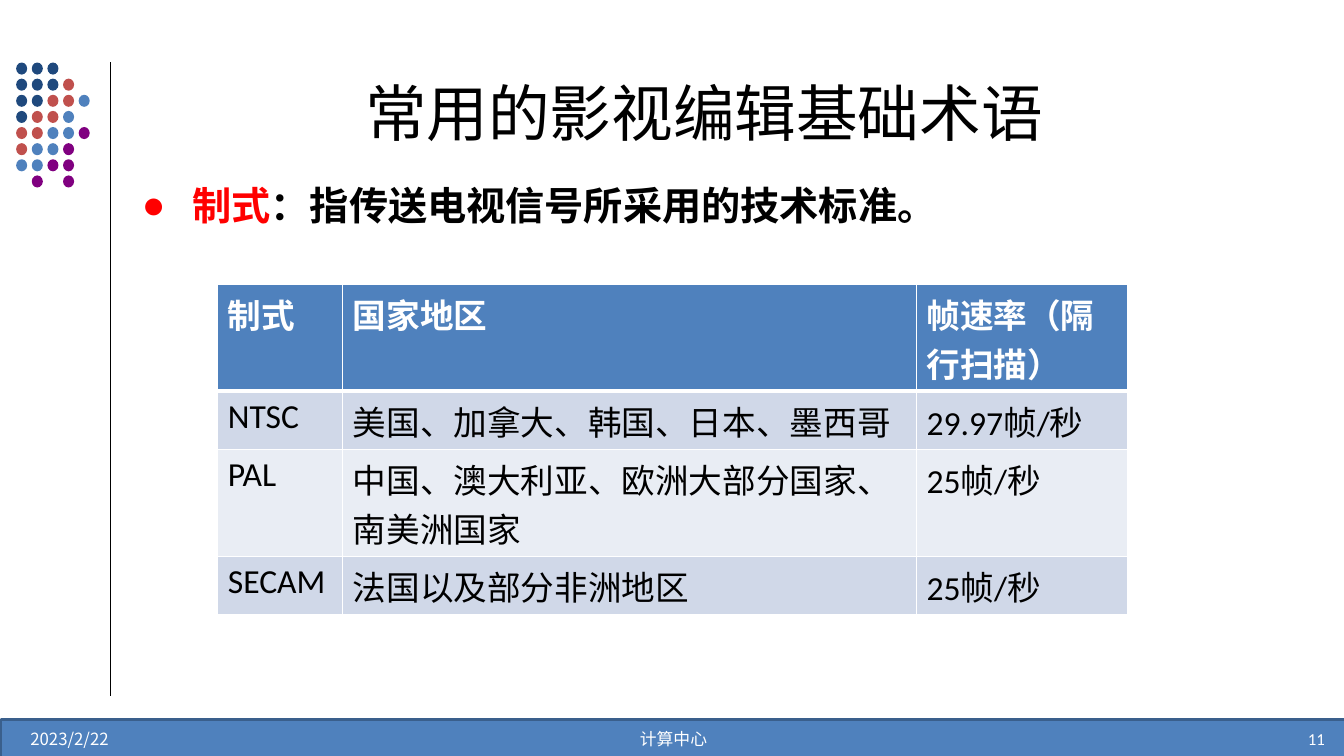
from pptx import Presentation
from pptx.util import Inches, Pt
from pptx.dml.color import RGBColor
from pptx.enum.shapes import MSO_SHAPE as Shape, MSO_CONNECTOR as Link
from pptx.enum.text import PP_ALIGN as Align, MSO_ANCHOR as Anchor
from pptx.oxml.ns import qn
from lxml.etree import SubElement as Sub

HUES = {"navy": "1F497D", "brick": "C0504D", "blue": "4F81BD",
        "plum": "800080", "edge": "3A5F8C", "red": "FF0000",
        "black": "000000", "white": "FFFFFF", "dark": "D0D8E8",
        "pale": "E9EDF4"}
SANS = "Noto Sans CJK SC"
TITLE = "常用的影视编辑基础术语"
TERM = [("制式", "red"), ("：指传送电视信号所采用的技术标准。", "black")]
FOOT = [("2023/2/22", 0, 1.38, Align.CENTER, SANS),
        ("计算中心", 4.57, 4.22, Align.CENTER, SANS),
        ("11", 10.13, 3.11, Align.RIGHT, "Calibri")]
ROWS = [("制式", "国家地区", "帧速率（隔行扫描）"),
        ("NTSC", "美国、加拿大、韩国、日本、墨西哥", "29.97帧/秒"),
        ("PAL", "中国、澳大利亚、欧洲大部分国家、南美洲国家", "25帧/秒"),
        ("SECAM", "法国以及部分非洲地区", "25帧/秒")]
WIDE = [1.24, 5.69, 2.09]
TALL = [1.06, 0.58, 1.06, 0.58]
DOTS = ["nnn", "nnnr", "nnrrb", "nrrb", "rrbbp", "rbbp", "bbpp", " p p"]
KEYS = {"n": "navy", "r": "brick", "b": "blue", "p": "plum"}


def rgb(hue):
    return RGBColor.from_string(HUES[hue])


def style(par, size, face, hue=None, bold=False):
    font = par.font
    font.size, font.name, font.bold = Pt(size), face, bold
    if hue:
        font.color.rgb = rgb(hue)
    Sub(font._element, qn("a:ea"), typeface=SANS)


def solid(kind, x, y, w, h, hue):
    item = slide.shapes.add_shape(kind, *map(Inches, (x, y, w, h)))
    item.shadow.inherit = False
    item.fill.solid()
    item.fill.fore_color.rgb = rgb(hue)
    item.line.fill.background()
    return item


def label(x, y, w, h, anchor=Anchor.MIDDLE):
    frame = slide.shapes.add_textbox(*map(Inches, (x, y, w, h))).text_frame
    frame.word_wrap = True
    frame.vertical_anchor = anchor
    return frame.paragraphs[0]


def border(cell, side, width):
    line = Sub(cell._tc.get_or_add_tcPr(), qn("a:" + side), w=str(Pt(width)))
    Sub(Sub(line, qn("a:solidFill")), qn("a:srgbClr"), val=HUES["white"])


deck = Presentation()
deck.slide_width, deck.slide_height = Inches(13.33), Inches(7.5)
slide = deck.slides.add_slide(deck.slide_layouts[6])

bar = solid(Shape.RECTANGLE, 0.01, 7.14, 13.33, 0.38, "blue")
bar.line.color.rgb = rgb("edge")
bar.line.width = Pt(2)

for r, row in enumerate(DOTS):
    for c, key in enumerate(row):
        if key in KEYS:
            solid(Shape.OVAL, 0.16 + c * 0.155, 0.62 + r * 0.16,
                  0.11, 0.12, KEYS[key])

rule = slide.shapes.add_connector(
    Link.STRAIGHT, *map(Inches, (1.1, 0.62, 1.1, 6.9)))
rule.line.color.rgb = rgb("black")
rule.line.width = Pt(0.75)
Sub(rule._element.spPr, qn("a:effectLst"))

head = label(1.31, 0.68, 11.35, 0.87)
head.text, head.alignment = TITLE, Align.CENTER
style(head, 44, SANS, "black")

body = label(1.31, 1.75, 11.35, 4.95, Anchor.TOP)
body.alignment = Align.JUSTIFY
body.space_before = Pt(5.6)
for text, hue in TERM:
    run = body.add_run()
    run.text = text
    run.font.color.rgb = rgb(hue)
props = body._p.get_or_add_pPr()
props.set("marL", str(Inches(0.5)))
props.set("indent", str(-Inches(0.5)))
Sub(Sub(props, qn("a:buClr")), qn("a:srgbClr"), val=HUES["red"])
Sub(props, qn("a:buFont"), typeface="Times New Roman")
Sub(props, qn("a:buChar"), char="●")
style(body, 28, "Times New Roman", bold=True)

for text, x, w, align, face in FOOT:
    foot = label(x, 7.13, w, 0.4)
    foot.text, foot.alignment = text, align
    style(foot, 12, face, "white")

grid = slide.shapes.add_table(
    len(ROWS), len(WIDE),
    *map(Inches, (2.16, 2.82, sum(WIDE), sum(TALL)))).table
for col, w in zip(grid.columns, WIDE):
    col.width = Inches(w)
for r, (row, h) in enumerate(zip(ROWS, TALL)):
    grid.rows[r].height = Inches(h)
    top = r == 0
    for c, text in enumerate(row):
        cell = grid.cell(r, c)
        for side in ("lnL", "lnR", "lnT", "lnB"):
            thick = (top and side == "lnB") or (r == 1 and side == "lnT")
            border(cell, side, 3 if thick else 1)
        cell.fill.solid()
        cell.fill.fore_color.rgb = rgb(
            "blue" if top else "dark" if r % 2 else "pale")
        par = cell.text_frame.paragraphs[0]
        par.text = text
        style(par, 24, "Calibri", "white" if top else "black", top)

deck.save("out.pptx")
